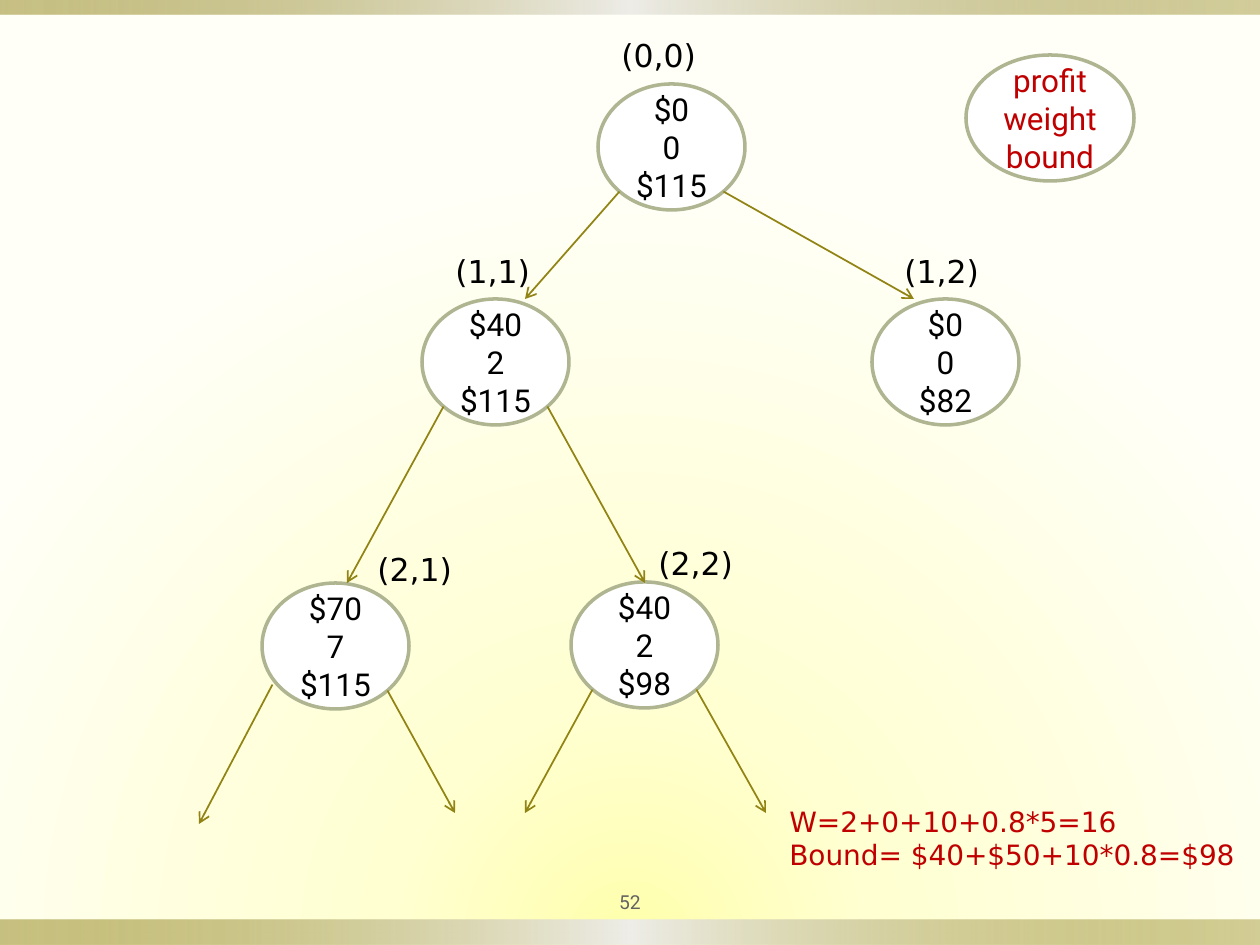
from lxml import etree
from pptx import Presentation
from pptx.dml.color import RGBColor
from pptx.enum.shapes import MSO_CONNECTOR, MSO_SHAPE
from pptx.enum.text import MSO_ANCHOR, MSO_AUTO_SIZE, PP_ALIGN
from pptx.oxml import parse_xml
from pptx.oxml.ns import nsdecls, qn
from pptx.util import Pt

SCALE = 914400 / 126
WIDE, HIGH = 1260, 945
BLACK, RED, GRAY = "000000", "C00000", "636363"
WHITE, RIM, OLIVE = "FFFFFF", "AFB591", "918415"
NODE_W, NODE_H = 147, 126
BEND = 0.5 ** 0.5 / 2  # reach of an oval's diagonal points from its centre

GLOW = [(0, "FFFFAC", 100), (31, "FFFFD2", 100), (100, "FFFFF7", 100)]
SHINE = [(0, OLIVE, 50), (50, "EEEDE8", 100), (100, OLIVE, 40)]
RADIAL = ('<a:path path="circle"><a:fillToRect l="50000" t="150000" '
          'r="50000" b="0"/></a:path>')
LINEAR = '<a:lin ang="0" scaled="0"/>'
BARS = [(920, 25), (0, 15)]  # top, height

# name: (left, top, label left, label top, label width, lines)
NODES = {
    "(0,0)": (598, 84, 609, 30, 126, ["$0", "0", "$115"]),
    "(1,1)": (422, 299, 443, 246, 103, ["$40", "2", "$115"]),
    "(1,2)": (872, 299, 892, 246, 126, ["$0", "0", "$82"]),
    "(2,1)": (262, 583, 365, 544, 126, ["$70", "7", "$115"]),
    "(2,2)": (571, 582, 646, 538, 126, ["$40", "2", "$98"]),
}
# parent, side (-1 left, 1 right), tip, shift of the start
EDGES = [
    ("(0,0)", -1, (525, 299), (0, 0)),
    ("(0,0)", 1, (914, 299), (0, 0)),
    ("(1,1)", -1, (347, 583), (0, 0)),
    ("(1,1)", 1, (645, 583), (0, 0)),
    ("(2,1)", -1, (199, 824), (-11, -6)),
    ("(2,1)", 1, (455, 813), (0, 0)),
    ("(2,2)", -1, (525, 813), (0, 0)),
    ("(2,2)", 1, (766, 813), (0, 0)),
]
LEGEND = ["profit", "weight", "bound"]
SUMS = ["W=2+0+10+0.8*5=16", "Bound= $40+$50+10*0.8=$98"]


def px(*sizes):
    return [round(size * SCALE) for size in sizes]


def color(code):
    return RGBColor.from_string(code)


def blend(holder, stops, shape):
    """Swap the solid fill inside holder for a gradient."""
    marks = "".join(
        f'<a:gs pos="{pos * 1000}"><a:srgbClr val="{code}">'
        f'<a:alpha val="{alpha * 1000}"/></a:srgbClr></a:gs>'
        for pos, code, alpha in stops)
    grad = parse_xml(f'<a:gradFill {nsdecls("a")} rotWithShape="1">'
                     f'<a:gsLst>{marks}</a:gsLst>{shape}</a:gradFill>')
    solid = holder.find(qn("a:solidFill"))
    holder.replace(solid, grad)


def write(frame, lines, size, font, code, align=None):
    frame.text = "\n".join(lines)
    frame.word_wrap = True
    for para in frame.paragraphs:
        para.alignment = align
        for run in para.runs:
            run.font.size, run.font.name = Pt(size), font
            run.font.color.rgb = color(code)


def add_bar(slide, top, high):
    bar = slide.shapes.add_shape(MSO_SHAPE.RECTANGLE, *px(0, top, WIDE, high))
    bar.shadow.inherit = False
    bar.fill.solid()
    blend(bar.fill._xPr, SHINE, LINEAR)
    bar.line.fill.background()


def add_oval(slide, box, lines, code):
    oval = slide.shapes.add_shape(MSO_SHAPE.OVAL, *px(*box))
    oval.shadow.inherit = False
    oval.fill.solid()
    oval.fill.fore_color.rgb = color(WHITE)
    oval.line.color.rgb = color(RIM)
    oval.line.width = Pt(2)
    oval.text_frame.vertical_anchor = MSO_ANCHOR.MIDDLE
    write(oval.text_frame, lines, 18, "Roboto", code, PP_ALIGN.CENTER)


def add_note(slide, box, lines, size, code):
    frame = slide.shapes.add_textbox(*px(*box)).text_frame
    write(frame, lines, size, "DejaVu Sans", code)
    frame.auto_size = MSO_AUTO_SIZE.SHAPE_TO_FIT_TEXT


def add_arrow(slide, name, side, tip, shift):
    left, top = NODES[name][:2]
    x = left + NODE_W * (0.5 + side * BEND) + shift[0]
    y = top + NODE_H * (0.5 + BEND) + shift[1]
    arrow = slide.shapes.add_connector(MSO_CONNECTOR.STRAIGHT, *px(x, y, *tip))
    arrow.line.color.rgb = color(OLIVE)
    arrow.line.width = Pt(1)
    etree.SubElement(arrow.line._get_or_add_ln(), qn("a:tailEnd"), type="arrow")
    etree.SubElement(arrow._element.spPr, qn("a:effectLst"))


def add_number(slide, text):
    frame = slide.shapes.add_textbox(*px(567, 882, 126, 39)).text_frame
    frame.margin_left = frame.margin_right = px(6)[0]
    frame.margin_top = frame.margin_bottom = px(6)[0]
    frame.vertical_anchor = MSO_ANCHOR.MIDDLE
    write(frame, [text], 11, "Roboto", GRAY, PP_ALIGN.CENTER)


def main():
    deck = Presentation()
    deck.slide_width, deck.slide_height = px(WIDE, HIGH)
    slide = deck.slides.add_slide(deck.slide_layouts[6])
    back = slide.background.fill
    back.solid()
    back.fore_color.rgb = color(WHITE)
    blend(back._xPr, GLOW, RADIAL)

    for top, high in BARS:
        add_bar(slide, top, high)
    for name, (left, top, x, y, wide, lines) in NODES.items():
        add_oval(slide, (left, top, NODE_W, NODE_H), lines, BLACK)
        add_note(slide, (x, y, wide, 51), [name], 18, BLACK)
    for edge in EDGES:
        add_arrow(slide, *edge)
    add_oval(slide, (966, 55, 168, NODE_H), LEGEND, RED)
    add_note(slide, (777, 798, 494, 81), SUMS, 16, RED)
    add_number(slide, "52")
    deck.save("out.pptx")


if __name__ == "__main__":
    main()
